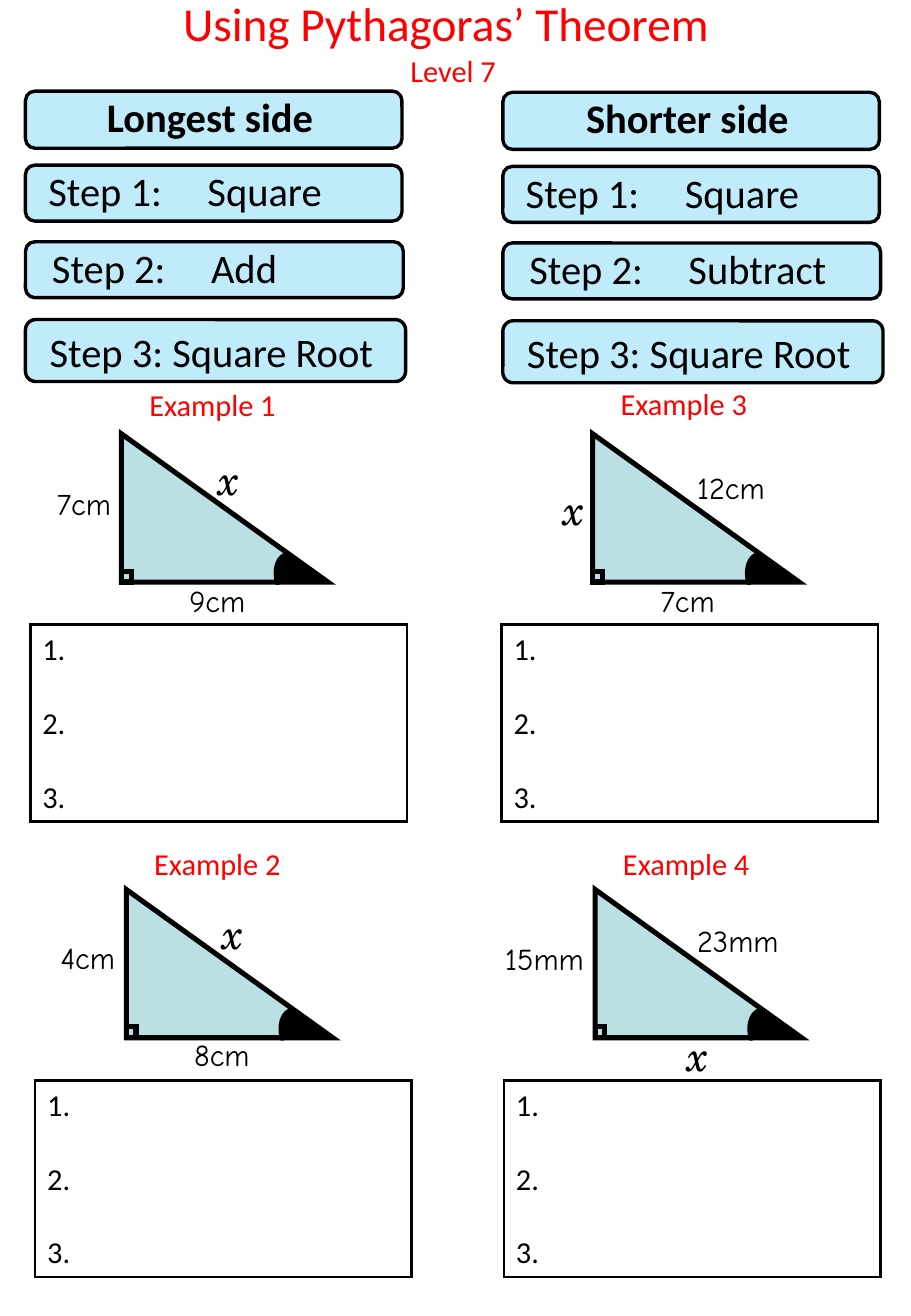
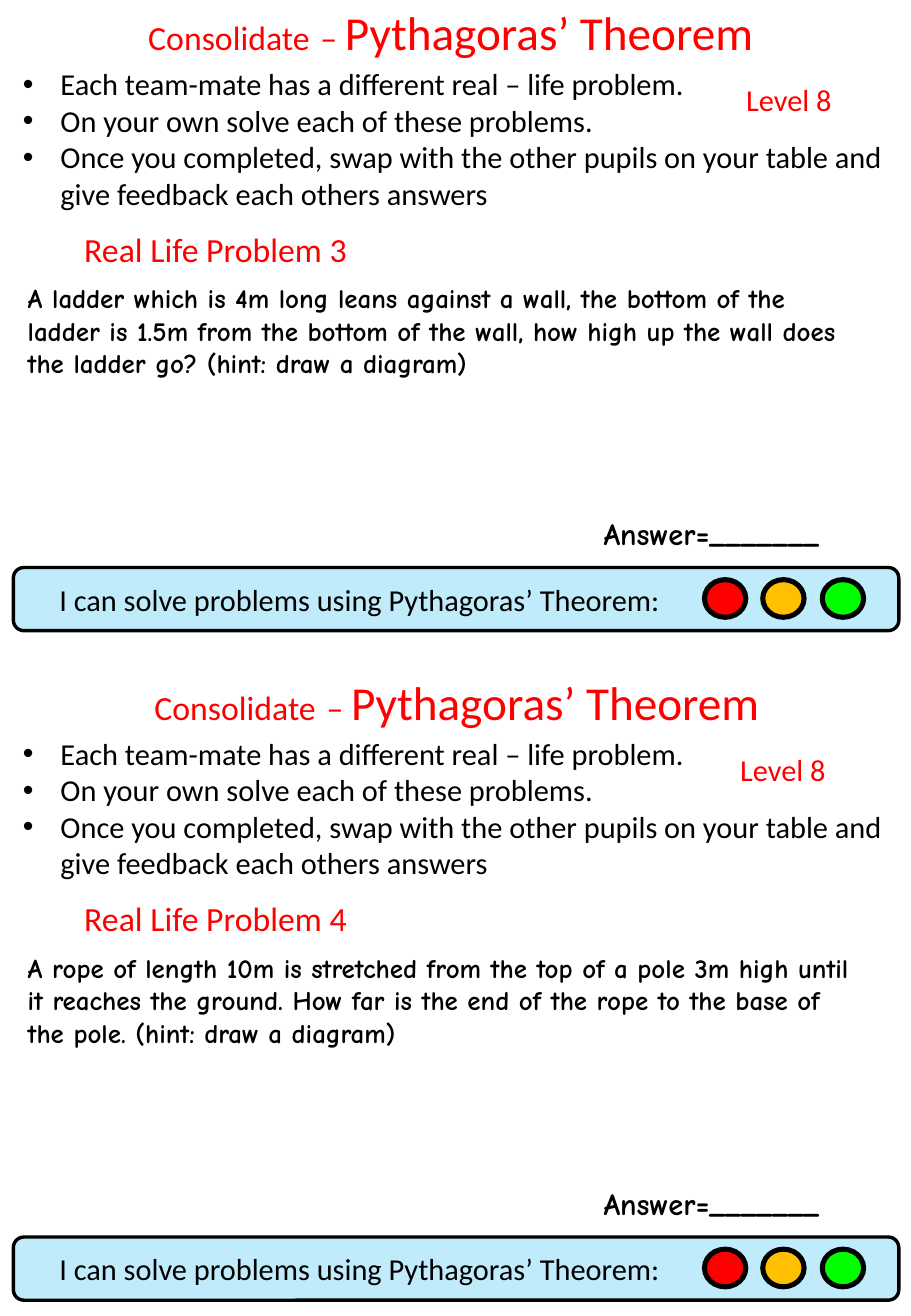
import pptx
import pptx.util
import pptx.dml.color
import pptx.enum.shapes
import pptx.enum.text
import pptx.oxml
import pptx.oxml.ns

Inches = pptx.util.Inches
Pt = pptx.util.Pt
SHAPE = pptx.enum.shapes.MSO_SHAPE
ALIGN = pptx.enum.text.PP_ALIGN
COLORS = {
    "red": "FF0000", "black": "000000", "band": "00B0F0", "triangle": "BBE0E3",
    "amber": "FFC000", "green": "00FF00",
}
BODY, HAND, MATH = "Calibri", "Comic Neue", "TeX Gyre Schola"


def rgb(name):
    return pptx.dml.color.RGBColor.from_string(COLORS[name])


def add_xml(parent, tag, **attrs):
    el = pptx.oxml.parse_xml(f"<a:{tag} {pptx.oxml.ns.nsdecls('a')}/>")
    for key, value in attrs.items():
        el.set(key, str(value))
    parent.append(el)


def write(tf, text, size=18, color="black", font=BODY, bold=False, italic=False,
          align=ALIGN.LEFT, before=0, bullet=False, tab=None):
    tf.word_wrap = True
    tf.vertical_anchor = pptx.enum.text.MSO_ANCHOR.TOP
    for i, runs in enumerate([text] if isinstance(text, str) else text):
        p = tf.paragraphs[0] if i == 0 else tf.add_paragraph()
        pPr = p._p.get_or_add_pPr()
        if bullet:
            pPr.set("marL", str(Inches(0.31)))
            pPr.set("indent", str(-Inches(0.31)))
            add_xml(pPr, "buFont", typeface="Arial")
            add_xml(pPr, "buChar", char="•")
        if tab:
            add_xml(pPr, "tabLst")
            add_xml(pPr[-1], "tab", pos=Inches(tab), algn="l")
        p.alignment = align
        if i and before:
            p.space_before = Pt(before)
        for part, part_size in [(runs, size)] if isinstance(runs, str) else runs:
            r = p.add_run()
            r.text = part
            r.font.name = font
            r.font.size = Pt(part_size)
            r.font.bold = bold
            r.font.italic = italic
            r.font.color.rgb = rgb(color)


class Worksheet:
    def __init__(self):
        self.prs = pptx.Presentation()
        self.prs.slide_width = Inches(7.5)
        self.prs.slide_height = Inches(10.83)
        self.slide = None

    def new_slide(self):
        self.slide = self.prs.slides.add_slide(self.prs.slide_layouts[6])

    def text(self, text, x, y, w, h, **fmt):
        sp = self.slide.shapes.add_textbox(Inches(x), Inches(y), Inches(w), Inches(h))
        write(sp.text_frame, text, **fmt)

    def heading(self, text, x, y, w, h=0.4, size=18):
        self.text(text, x, y, w, h, size=size, color="red", align=ALIGN.CENTER)

    def style(self, sp, fill, width):
        sp.shadow.inherit = False
        if fill:
            sp.fill.solid()
            sp.fill.fore_color.rgb = rgb(fill)
        else:
            sp.fill.background()
        sp.line.color.rgb = rgb("black")
        sp.line.width = Pt(width)

    def shape(self, kind, x, y, w, h, fill=None, width=3, rotation=0):
        sp = self.slide.shapes.add_shape(kind, Inches(x), Inches(y), Inches(w), Inches(h))
        self.style(sp, fill, width)
        sp.rotation = rotation
        if kind in (SHAPE.RECTANGLE, SHAPE.RIGHT_TRIANGLE):
            add_xml(sp.line._get_or_add_ln(), "miter", lim=800000)
        return sp

    def band(self, x, y, w, h):
        sp = self.shape(SHAPE.ROUNDED_RECTANGLE, x, y, w, h, "band", 2)
        color = sp._element.spPr.find(pptx.oxml.ns.qn("a:solidFill"))[0]
        add_xml(color, "alpha", val=25000)

    def angle(self, x, y):
        curve = [(1.36, 0.99), (1.28, 1.01), (1.25, 1.12), (1.28, 1.23)]
        points = []
        for step in range(13):
            t = step / 12
            weights = ((1 - t) ** 3, 3 * t * (1 - t) ** 2, 3 * t * t * (1 - t), t ** 3)
            points.append(tuple(
                Inches(origin + sum(k * c[axis] for k, c in zip(weights, curve)))
                for axis, origin in enumerate((x, y))))
        points.append((Inches(x + 1.42), Inches(y + 1.19)))
        fb = self.slide.shapes.build_freeform(*points[0])
        fb.add_line_segments(points[1:], close=True)
        self.style(fb.convert_to_shape(), "black", 2.25)
        sp = self.shape(SHAPE.ISOSCELES_TRIANGLE, x + 1.38, y + 0.98, 0.24, 0.37,
                        "black", 0.75, 108.4)
        sp.adjustments[0] = 0.445

    def example(self, title, title_y, x, y, labels):
        self.heading(title, x - 0.1, title_y, 1.7)
        self.shape(SHAPE.RIGHT_TRIANGLE, x, y, 1.7, 1.22, "triangle")
        self.angle(x, y)
        self.shape(SHAPE.RECTANGLE, x, y + 1.13, 0.08, 0.09, "triangle")
        for label, dx, dy in labels:
            if label == "x":
                fmt = dict(size=25, font=MATH, italic=True)
            else:
                fmt = dict(font=HAND)
            self.text(label, x + dx, y + dy, 1.41, 0.4, **fmt)
        sp = self.shape(SHAPE.RECTANGLE, x - 0.75, y + 1.57, 3.1, 1.62, width=1.5)
        write(sp.text_frame, ["1.", "2.", "3."], before=22)

    def steps(self, x, dy, title, operation):
        rows = [
            (title, 0.75, 3.1, 0.47, 0.02, -0.04),
            ("Step 1:\tSquare", 1.36, 3.1, 0.46, 0.09, -0.04),
            (f"Step 2:\t{operation}", 1.99, 3.11, 0.46, 0.12, -0.04),
            ("Step 3: Square Root", 2.63, 3.13, 0.51, 0.1, 0.01),
        ]
        for text, y, w, h, text_dx, text_dy in rows:
            is_title = text == title
            self.band(x, y + dy, w, h)
            self.text(text, x + text_dx, y + dy + text_dy, 3, h, size=24, bold=is_title,
                      align=ALIGN.CENTER if is_title else ALIGN.LEFT,
                      tab=1.31 if "\t" in text else None)

    def problem(self, y, number, question, title_x, level_x):
        self.band(0.11, y + 4.67, 7.29, 0.52)
        title = [("Consolidate", 20), (" ", 28), ("– ", 20), ("Pythagoras’ Theorem", 28)]
        self.heading([title], title_x, y - 0.02, 7.52, 1.04)
        self.heading(f"Real Life Problem {number}", 0.07, y + 1.83, 3.41, 0.44, size=20)
        self.text(["Each team-mate has a different real – life problem.",
                   "On your own solve each of these problems.",
                   "Once you completed, swap with the other pupils on your table and "
                   "give feedback each others answers"],
                  0.09, y + 0.49, 7.37, 1.31, bullet=True)
        self.text(question, 0.13, y + 2.27, 7.01, 0.91, size=16, font=HAND, bold=True)
        self.text("Answer=_______", 4.87, y + 4.19, 2.55, 0.4, font=HAND, bold=True)
        self.text("I can solve problems using Pythagoras’ Theorem:",
                  0.39, y + 4.73, 7.1, 0.4)
        for x, color in ((5.8, "red"), (6.28, "amber"), (6.77, "green")):
            self.shape(SHAPE.OVAL, x, y + 4.77, 0.34, 0.31, color)
        self.heading("Level 8", level_x, y + 0.62, 1.29)


def main():
    ws = Worksheet()
    ws.new_slide()
    ws.heading("Using Pythagoras’ Theorem", 0.21, -0.1, 6.92, 1.04, size=28)
    ws.heading("Level 7", 3.09, 0.38, 1.28)
    ws.steps(0.21, 0, "Longest side", "Add")
    ws.steps(4.14, 0.01, "Shorter side", "Subtract")
    ws.example("Example 1", 3.13, 1, 3.57,
               [("7cm", -0.63, 0.37), ("9cm", 0.46, 1.17), ("x", 0.7, 0.11)])
    ws.example("Example 2", 6.91, 1.04, 7.32,
               [("4cm", -0.64, 0.36), ("8cm", 0.46, 1.16), ("x", 0.69, 0.1)])
    ws.example("Example 3", 3.12, 4.88, 3.57,
               [("12cm", 0.76, 0.24), ("7cm", 0.46, 1.17), ("x", -0.34, 0.36)])
    ws.example("Example 4", 6.91, 4.9, 7.32,
               [("23mm", 0.74, 0.22), ("15mm", -0.84, 0.37), ("x", 0.66, 1.1)])

    ws.new_slide()
    ws.problem(0, 3, "A ladder which is 4m long leans against a wall, the bottom of the "
               "ladder is 1.5m from the bottom of the wall, how high up the wall does "
               "the ladder go? (hint: draw a diagram)", -0.05, 5.85)
    ws.problem(5.51, 4, "A rope of length 10m is stretched from the top of a pole 3m high "
               "until it reaches the ground. How far is the end of the rope to the base "
               "of the pole. (hint: draw a diagram)", 0, 5.8)
    ws.prs.save("out.pptx")


if __name__ == "__main__":
    main()
